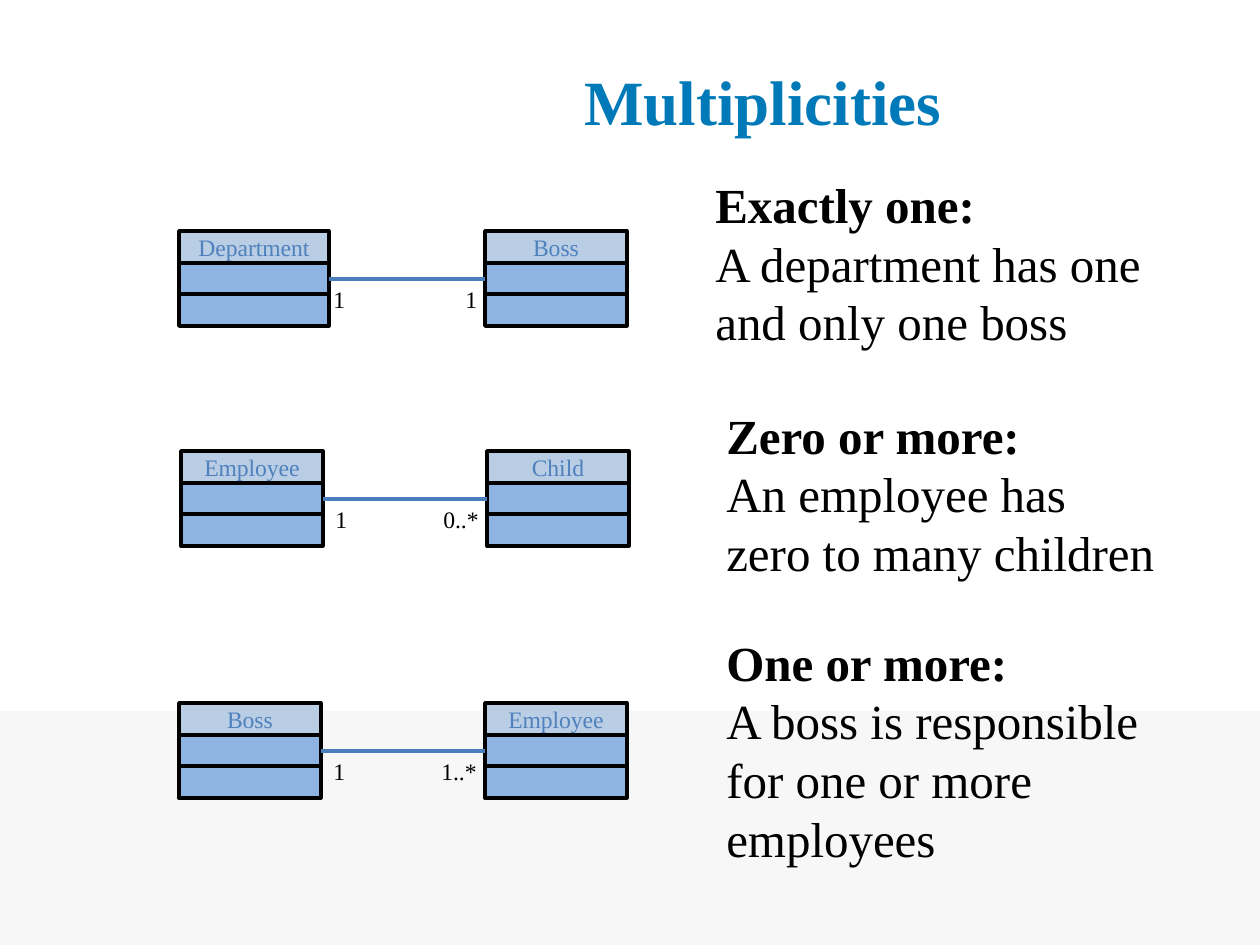
"""Build the Multiplicities slide with three class associations."""
from dataclasses import dataclass

from lxml import etree
from pptx import Presentation
from pptx.dml.color import RGBColor
from pptx.enum.shapes import MSO_CONNECTOR, MSO_SHAPE
from pptx.enum.text import MSO_ANCHOR, MSO_AUTO_SIZE, PP_ALIGN
from pptx.oxml.ns import qn
from pptx.util import Emu, Pt

PX = 914400 // 126
FONT = "Times New Roman"
COLORS = {
    "band": "F7F7F7", "title": "0079B8", "header": "B9CDE5", "row": "8EB4E3",
    "name": "4F81BD", "link": "4B7EBC", "black": "000000",
}
ROW_TOPS = (0, 32, 63)
ROW_HEIGHT = 32
LINK_DROP = 48
RIGHT_CLASS_OFFSET = 306
CLASS_WIDTH = 142
LABEL_HEIGHT = 42


@dataclass(frozen=True)
class Box:
    left: int
    top: int
    width: int
    height: int

    def emu(self) -> tuple[Emu, ...]:
        return tuple(Emu(v * PX) for v in (self.left, self.top, self.width, self.height))


@dataclass(frozen=True)
class Association:
    left: int
    top: int
    left_width: int
    names: tuple[str, str]
    right_label: str
    right_label_width: int
    heading: str
    description: str
    description_box: Box


ASSOCIATIONS = (
    Association(179, 231, 150, ("Department", "Boss"), "1", 38, "Exactly one:",
                "A department has one and only one boss", Box(703, 168, 472, 190)),
    Association(181, 451, CLASS_WIDTH, ("Employee", "Child"), "0..*", 62, "Zero or more:",
                "An employee has zero to many children", Box(714, 399, 454, 190)),
    Association(179, 703, CLASS_WIDTH, ("Boss", "Employee"), "1..*", 62, "One or more:",
                "A boss is responsible for one or more employees", Box(714, 626, 441, 251)),
)


def rgb(name: str) -> RGBColor:
    return RGBColor.from_string(COLORS[name])


def write(paragraph, text: str, size: float, color: str = "black", bold: bool = False) -> None:
    run = paragraph.add_run()
    run.text = text
    run.font.name = FONT
    run.font.size = Pt(size)
    run.font.bold = bold
    run.font.color.rgb = rgb(color)


def add_rect(shapes, box: Box, fill: str, outlined: bool = True):
    rect = shapes.add_shape(MSO_SHAPE.RECTANGLE, *box.emu())
    rect.shadow.inherit = False
    rect.fill.solid()
    rect.fill.fore_color.rgb = rgb(fill)
    if outlined:
        rect.line.color.rgb = rgb("black")
        rect.line.width = Pt(2)
    else:
        rect.line.fill.background()
    return rect


def add_text(shapes, box: Box, wrap: bool = True):
    frame = shapes.add_textbox(*box.emu()).text_frame
    frame.word_wrap = wrap
    return frame


def add_class(shapes, left: int, top: int, width: int, name: str) -> None:
    group = shapes.add_group_shape()
    for index, offset in enumerate(ROW_TOPS):
        box = Box(left, top + offset, width, ROW_HEIGHT)
        rect = add_rect(group.shapes, box, "row" if index else "header")
        if index == 0:
            rect.text_frame.vertical_anchor = MSO_ANCHOR.MIDDLE
            paragraph = rect.text_frame.paragraphs[0]
            paragraph.alignment = PP_ALIGN.CENTER
            write(paragraph, name, 13.5, "name")


def add_label(shapes, left: int, top: int, width: int, text: str) -> None:
    frame = add_text(shapes, Box(left, top, width, LABEL_HEIGHT), wrap=False)
    frame.auto_size = MSO_AUTO_SIZE.SHAPE_TO_FIT_TEXT
    write(frame.paragraphs[0], text, 13.5)


def add_link(shapes, start: int, end: int, y: int) -> None:
    link = shapes.add_connector(
        MSO_CONNECTOR.STRAIGHT, *(Emu(v * PX) for v in (start, y, end, y)))
    link.line.color.rgb = rgb("link")
    link.line.width = Pt(2)
    etree.SubElement(link._element.spPr, qn("a:effectLst"))


def add_association(shapes, item: Association) -> None:
    right = item.left + RIGHT_CLASS_OFFSET
    link_y = item.top + LINK_DROP
    add_class(shapes, item.left, item.top, item.left_width, item.names[0])
    add_class(shapes, right, item.top, CLASS_WIDTH, item.names[1])
    add_link(shapes, item.left + item.left_width, right, link_y)
    add_label(shapes, item.left + CLASS_WIDTH, link_y, 38, "1")
    add_label(shapes, right + 6 - item.right_label_width, link_y,
              item.right_label_width, item.right_label)
    frame = add_text(shapes, item.description_box)
    frame.auto_size = MSO_AUTO_SIZE.SHAPE_TO_FIT_TEXT
    write(frame.paragraphs[0], item.heading, 28, bold=True)
    write(frame.add_paragraph(), item.description, 28)


def main() -> None:
    deck = Presentation()
    deck.slide_width, deck.slide_height = Emu(1260 * PX), Emu(945 * PX)
    shapes = deck.slides.add_slide(deck.slide_layouts[6]).shapes
    add_rect(shapes, Box(0, 711, 1260, 234), "band", outlined=False)
    title = add_text(shapes, Box(276, 21, 974, 158))
    title.vertical_anchor = MSO_ANCHOR.MIDDLE
    title.paragraphs[0].alignment = PP_ALIGN.CENTER
    write(title.paragraphs[0], "Multiplicities", 36, "title", bold=True)
    for item in ASSOCIATIONS:
        add_association(shapes, item)
    deck.save("out.pptx")


main()
